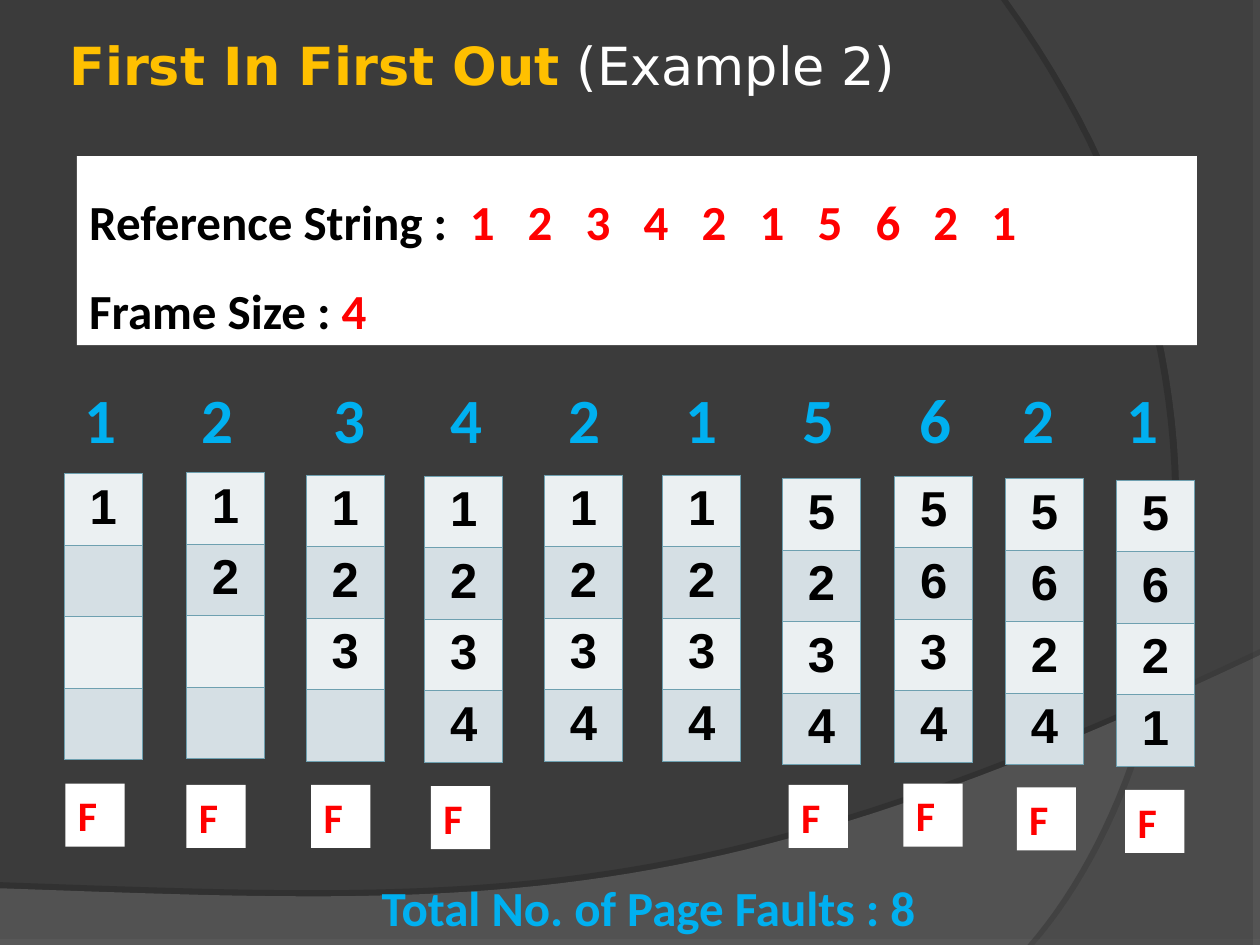
from itertools import accumulate
from typing import NamedTuple, Optional

from lxml.etree import SubElement
from pptx import Presentation
from pptx.dml.color import RGBColor
from pptx.enum.shapes import MSO_SHAPE
from pptx.enum.text import MSO_ANCHOR, PP_ALIGN
from pptx.oxml.ns import qn
from pptx.util import Inches, Pt

WIDTH, HEIGHT = 10, 7.5
FRAME_WIDTH, FRAME_HEIGHT, FRAME_COUNT = 0.62, 2.27, 4
FAULT_WIDTH, FAULT_HEIGHT = 0.47, 0.5
RED, BLUE, BLACK, WHITE = "FF0000", "00B0F0", "000000", "FFFFFF"
BANDS = ("EBF0F2", "D5DFE4")
REFERENCES = "1234215621"
HEADER_GAPS = (0.93, 1.05, 0.93, 0.93, 0.93, 0.93, 0.93, 0.82, 0.82)


class Step(NamedTuple):
    """The frames after one page reference, and the place of its fault mark."""
    frames: str
    left: float
    top: float
    fault: Optional[tuple] = None


STEPS = (
    Step("1", 0.51, 3.76, (0.52, 6.22)),
    Step("12", 1.48, 3.75, (1.48, 6.23)),
    Step("123", 2.43, 3.77, (2.47, 6.23)),
    Step("1234", 3.37, 3.78, (3.42, 6.24)),
    Step("1234", 4.32, 3.77),
    Step("1234", 5.26, 3.77),
    Step("5234", 6.21, 3.8, (6.26, 6.23)),
    Step("5634", 7.1, 3.78, (7.17, 6.22)),
    Step("5624", 7.98, 3.8, (8.07, 6.25)),
    Step("5621", 8.86, 3.81, (8.93, 6.27)),
)


def color(value):
    """Turn a hex string into a colour."""
    return RGBColor.from_string(value)


def inches(box):
    """Turn a box of left, top, width and height into lengths."""
    return [Inches(length) for length in box]


def style(run, size, face, value, bold=True):
    """Format one run."""
    run.font.size, run.font.name, run.font.bold = Pt(size), face, bold
    run.font.color.rgb = color(value)


def write(paragraph, parts, size, face="Calibri", align=PP_ALIGN.LEFT, spacing=None, stops=()):
    """Fill a paragraph with (text, colour) parts and optional tab stops."""
    if stops:
        tabs = SubElement(paragraph._p.get_or_add_pPr(), qn("a:tabLst"))
        for stop in stops:
            SubElement(tabs, qn("a:tab"), pos=str(Inches(stop)), algn="l")
    paragraph.alignment = align
    if spacing:
        paragraph.line_spacing = spacing
    for text, value in parts:
        run = paragraph.add_run()
        run.text = text
        style(run, size, face, value)


def cubic(start, first, second, end, count=48):
    """List points along a cubic curve after its start."""
    shares = [step / count for step in range(1, count + 1)]
    return [tuple((1 - t) ** 3 * a + 3 * (1 - t) ** 2 * t * b + 3 * (1 - t) * t * t * c + t ** 3 * d
                  for a, b, c, d in zip(start, first, second, end)) for t in shares]


def add_sweep(slide, order, points, fill, opacity, shadow_opacity, distance, direction):
    """Draw one translucent background sweep behind the content."""
    (left, top), *rest = [(Inches(x), Inches(y)) for x, y in points]
    builder = slide.shapes.build_freeform(left, top)
    builder.add_line_segments(rest, close=True)
    sweep = builder.convert_to_shape()
    sweep.fill.solid()
    sweep.fill.fore_color.rgb = color(fill)
    sweep.line.fill.background()
    tint = sweep.fill._xPr.find(qn("a:solidFill"))[0]
    SubElement(tint, qn("a:alpha"), val=str(opacity * 1000))
    effects = SubElement(sweep._element.spPr, qn("a:effectLst"))
    shadow = SubElement(effects, qn("a:outerShdw"), blurRad="0", dist=str(Pt(distance)),
                        dir=str(direction * 60000), algn="ctr", rotWithShape="0")
    shade = SubElement(shadow, qn("a:srgbClr"), val=BLACK)
    SubElement(shade, qn("a:alpha"), val=str(shadow_opacity * 1000))
    slide.shapes._spTree.insert(2 + order, sweep._element)


def add_backdrop(slide, width, height):
    """Paint the background and its two sweeps."""
    slide.background.fill.solid()
    slide.background.fill.fore_color.rgb = color("3B3B3B")
    lower = [(0, 7.05), (0, height), (width, height), (width, 5.2)]
    lower += cubic(lower[-1], (5.59, 7.29), (3.91, 7.19), lower[0])
    side = [(width, 0), (width, height), (8.21, height)]
    side += cubic(side[-1], (9.35, 6.19), (10.18, 3), (8, 0))
    add_sweep(slide, 0, lower, "7C7C7C", 45, 35, 3.5, 270)
    add_sweep(slide, 1, side, "595959", 40, 45, 4, 180)


def add_title(slide, box):
    """Place and format the title."""
    title = slide.shapes.title
    title.left, title.top, title.width, title.height = inches(box)
    frame = title.text_frame
    frame.vertical_anchor = MSO_ANCHOR.MIDDLE
    frame.margin_left = frame.margin_right = Inches(0.05)
    write(frame.paragraphs[0], [("First In First Out", "FFC000"), (" (Example 2)", WHITE)],
          30, "DejaVu Sans")
    frame.paragraphs[0].runs[1].font.bold = False


def add_panel(slide, box):
    """Draw a white panel and return its text frame."""
    panel = slide.shapes.add_shape(MSO_SHAPE.RECTANGLE, *inches(box))
    panel.shadow.inherit = False
    panel.fill.solid()
    panel.fill.fore_color.rgb = color(WHITE)
    panel.line.fill.background()
    panel.text_frame.vertical_anchor = MSO_ANCHOR.TOP
    return panel.text_frame


def add_problem(slide, box):
    """State the reference string and the frame size."""
    frame = add_panel(slide, box)
    stops = [3.02 + 0.46 * index for index in range(len(REFERENCES))]
    write(frame.paragraphs[0], [("Reference String :\t", BLACK), ("\t".join(REFERENCES), RED)],
          28, align=PP_ALIGN.JUSTIFY, spacing=1.5, stops=stops)
    write(frame.add_paragraph(), [("Frame Size : ", BLACK), (str(FRAME_COUNT), RED)],
          28, align=PP_ALIGN.JUSTIFY, spacing=1.5)


def add_label(slide, box, text, size, **layout):
    """Add a line of blue text."""
    frame = slide.shapes.add_textbox(*inches(box)).text_frame
    frame.word_wrap = True
    write(frame.paragraphs[0], [(text, BLUE)], size, **layout)


def add_border(cell):
    """Give a cell a thin line on every side."""
    properties = cell._tc.get_or_add_tcPr()
    for side in ("lnL", "lnR", "lnT", "lnB"):
        line = SubElement(properties, qn(f"a:{side}"), w=str(Pt(0.45)))
        SubElement(SubElement(line, qn("a:solidFill")), qn("a:srgbClr"), val="6EA0B0")


def add_frames(slide, box, pages):
    """Show the pages held in memory as a one-column table."""
    table = slide.shapes.add_table(FRAME_COUNT, 1, *inches(box)).table
    table.first_row = table.horz_banding = False
    for index, page in enumerate(pages.ljust(FRAME_COUNT)):
        cell = table.cell(index, 0)
        add_border(cell)
        cell.fill.solid()
        cell.fill.fore_color.rgb = color(BANDS[index % 2])
        if page.strip():
            write(cell.text_frame.paragraphs[0], [(page, BLACK)], 28, "Arial", PP_ALIGN.CENTER)


def main():
    """Build the slide."""
    deck = Presentation()
    deck.slide_width, deck.slide_height = Inches(WIDTH), Inches(HEIGHT)
    slide = deck.slides.add_slide(deck.slide_layouts[5])
    add_backdrop(slide, WIDTH, HEIGHT)
    add_title(slide, (0.5, -0.11, 9, 1.25))
    add_problem(slide, (0.61, 1.24, 8.89, 1.5))
    for step in STEPS:
        add_frames(slide, (step.left, step.top, FRAME_WIDTH, FRAME_HEIGHT), step.frames)
    for step in STEPS:
        if step.fault:
            mark = add_panel(slide, (*step.fault, FAULT_WIDTH, FAULT_HEIGHT))
            write(mark.paragraphs[0], [("F", RED)], 24)
    add_label(slide, (0.57, 2.97, 9.38, 0.7), "\t".join(REFERENCES), 36,
              stops=list(accumulate(HEADER_GAPS)))
    faults = sum(step.fault is not None for step in STEPS)
    add_label(slide, (2.93, 6.68, 5, 0.8), f"Total No. of Page Faults : {faults}", 28,
              align=PP_ALIGN.JUSTIFY, spacing=1.5)
    deck.save("out.pptx")


if __name__ == "__main__":
    main()
